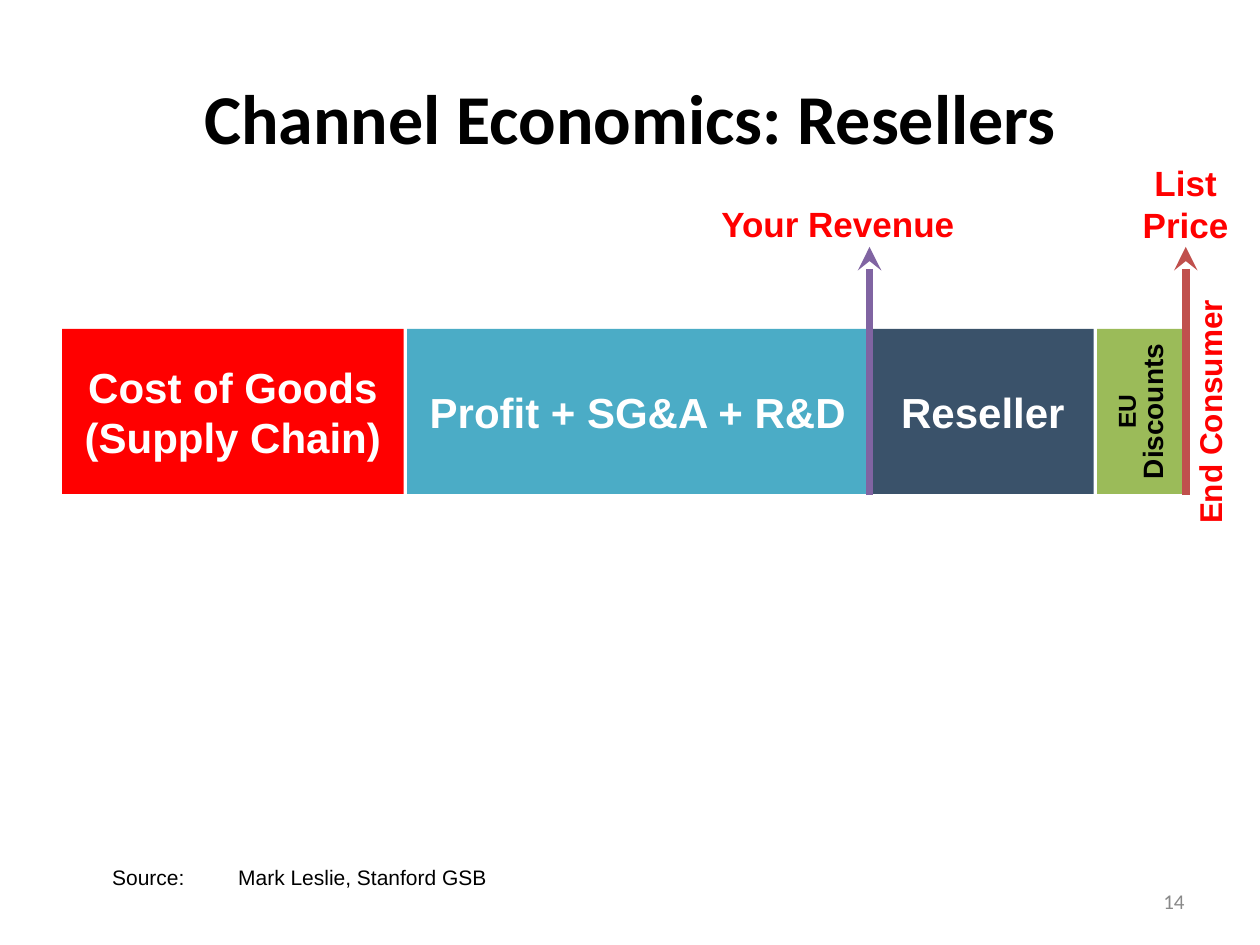
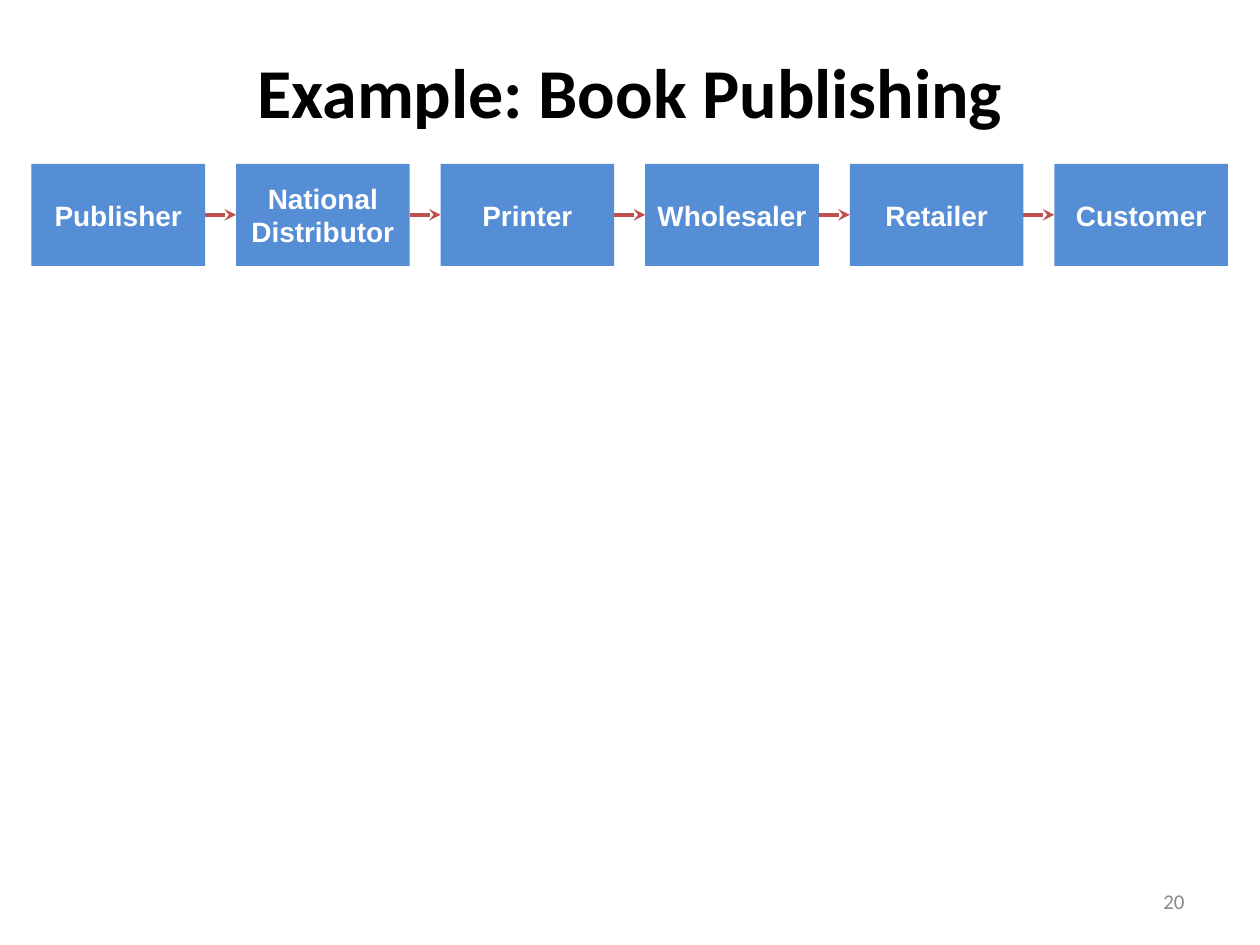
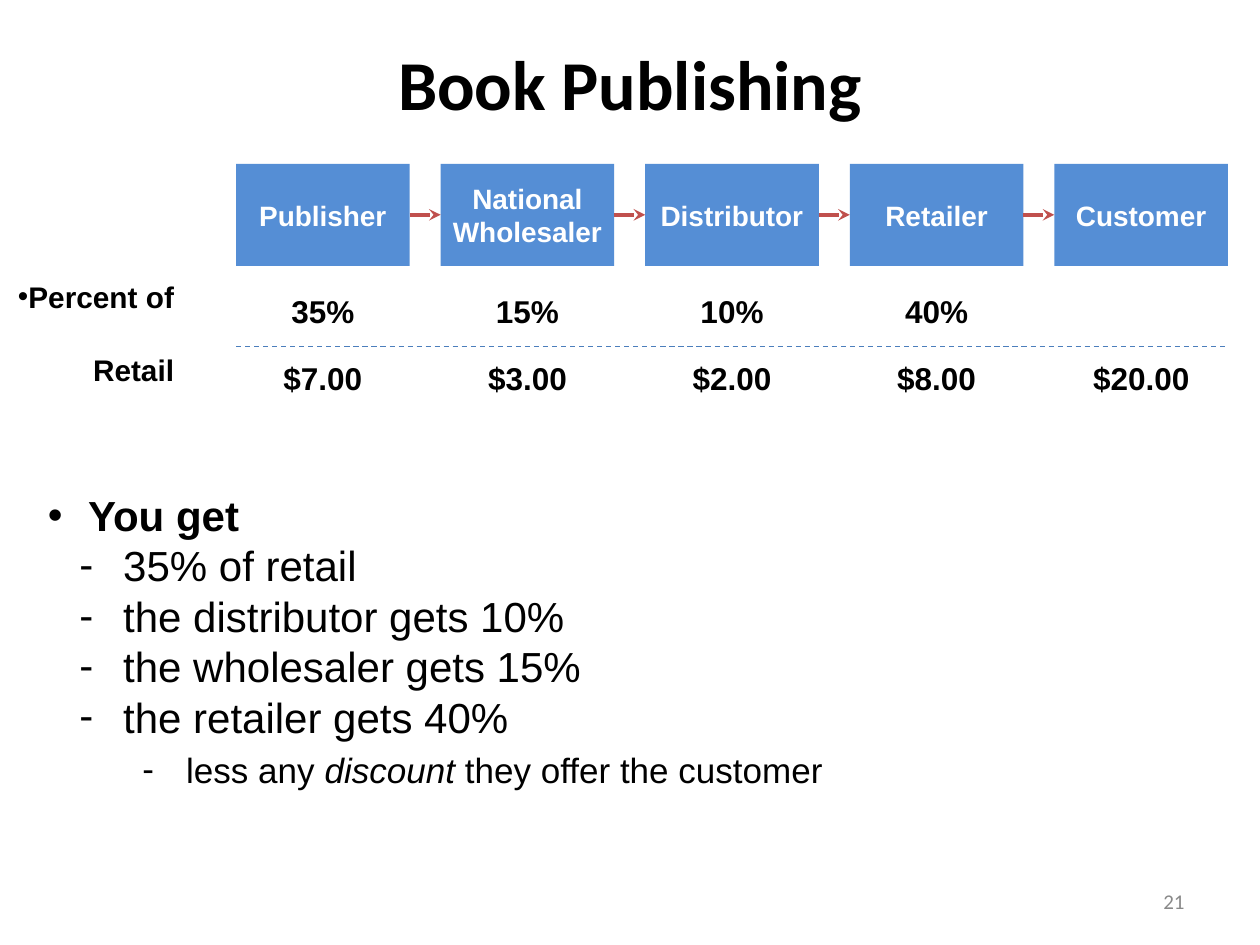
from dataclasses import dataclass

from lxml.etree import SubElement
from pptx import Presentation
from pptx.dml.color import RGBColor
from pptx.enum.dml import MSO_LINE as Dash
from pptx.enum.shapes import MSO_CONNECTOR as Connector, MSO_SHAPE as Shape
from pptx.enum.text import MSO_ANCHOR as Anchor, PP_ALIGN as Align
from pptx.oxml.ns import qn
from pptx.util import Pt


@dataclass(frozen=True)
class Theme:
    heading_font: str = "Calibri"
    body_font: str = "Arial"
    black: str = "000000"
    white: str = "FFFFFF"
    red: str = "FF0000"
    gray: str = "898989"
    teal: str = "4BACC6"
    navy: str = "3A526A"
    green: str = "9BBB59"
    purple: str = "8064A2"
    brick: str = "C0504D"
    blue: str = "558ED5"
    rule: str = "4B7EBC"
    title: float = 40
    large: float = 24
    label: float = 20
    value: float = 18
    row: float = 17
    stage: float = 16
    tiny: float = 14
    small: float = 12


THEME = Theme()
CHAIN_LEFT, CHAIN_TOP, CHAIN_PITCH = 18, 93.6, 116.9
STAGE_WIDTH, STAGE_HEIGHT = 99.2, 58.3
BAR_TOP, BAR_HEIGHT = 188, 94.3


def style(paragraph, size, color, bold=False, font=THEME.body_font):
    for run in paragraph.runs:
        run.font.name = font
        run.font.size = Pt(size)
        run.font.bold = bold
        run.font.color.rgb = RGBColor.from_string(color)


def set_frame(frame, anchor, insets):
    frame.word_wrap = True
    frame.vertical_anchor = anchor
    horizontal, vertical = insets
    frame.margin_left = frame.margin_right = Pt(horizontal)
    frame.margin_top = frame.margin_bottom = Pt(vertical)


def add_label(slide, text, place, size, color=THEME.black, bold=True, align=Align.CENTER,
              anchor=Anchor.TOP, insets=(0, 0), font=THEME.body_font):
    label = slide.shapes.add_textbox(*map(Pt, place))
    frame = label.text_frame
    set_frame(frame, anchor, insets)
    frame.text = text
    for paragraph in frame.paragraphs:
        paragraph.alignment = align
        style(paragraph, size, color, bold, font)
    return label


def add_block(slide, text, place, fill, size, color=THEME.white, insets=(7.2, 3.6)):
    block = slide.shapes.add_shape(Shape.RECTANGLE, *map(Pt, place))
    block.shadow.inherit = False
    block.fill.solid()
    block.fill.fore_color.rgb = RGBColor.from_string(fill)
    block.line.fill.background()
    set_frame(block.text_frame, Anchor.MIDDLE, insets)
    block.text_frame.text = text
    paragraph = block.text_frame.paragraphs[0]
    paragraph.alignment = Align.CENTER
    style(paragraph, size, color, bold=True)
    return block


def add_line(slide, start, end, color, width):
    line = slide.shapes.add_connector(Connector.STRAIGHT, *map(Pt, (*start, *end)))
    line.line.color.rgb = RGBColor.from_string(color)
    line.line.width = Pt(width)
    SubElement(line._element.spPr, qn("a:effectLst"))
    return line


def add_arrow(slide, start, end, color, width):
    arrow = add_line(slide, start, end, color, width)
    SubElement(arrow.line._get_or_add_ln(), qn("a:tailEnd"), type="stealth")


def add_bullet(paragraph, mark, text_left=0, mark_left=0):
    properties = paragraph._p.get_or_add_pPr()
    properties.set("marL", str(Pt(text_left)))
    properties.set("indent", str(Pt(mark_left - text_left)))
    SubElement(properties, qn("a:buFont"), typeface=THEME.body_font)
    SubElement(properties, qn("a:buChar"), char=mark)


def add_titled_slide(deck, title, title_height, number):
    slide = deck.slides.add_slide(deck.slide_layouts[6])
    add_label(slide, title, (36, 21.6, 648, title_height), THEME.title,
              anchor=Anchor.MIDDLE, insets=(7.2, 3.6), font=THEME.heading_font)
    add_label(slide, str(number), (516, 500.5, 168, 28.8), THEME.small, THEME.gray, False,
              Align.RIGHT, Anchor.MIDDLE, (7.2, 3.6), THEME.heading_font)
    return slide


def stage_left(column):
    return CHAIN_LEFT + column * CHAIN_PITCH


def add_chain(slide, stages, first_column=0):
    middle = CHAIN_TOP + STAGE_HEIGHT / 2
    for column, stage in enumerate(stages, first_column):
        left = stage_left(column)
        add_block(slide, stage, (left, CHAIN_TOP, STAGE_WIDTH, STAGE_HEIGHT),
                  THEME.blue, THEME.stage, insets=(5.5, 3.6))
        if column > first_column:
            previous_right = stage_left(column - 1) + STAGE_WIDTH
            add_arrow(slide, (previous_right, middle), (left, middle), THEME.brick, 2.25)


def add_values(slide, values, top, first_column):
    for column, value in enumerate(values, first_column):
        add_label(slide, value, (stage_left(column) + 14.3, top, 70.6, 21.6), THEME.value)


def add_discount_block(slide, left, width):
    discounts = add_block(slide, "EU ", (left, BAR_TOP, width, BAR_HEIGHT),
                          THEME.green, THEME.tiny, THEME.black)
    discounts.text_frame._txBody.bodyPr.set("vert", "vert270")
    paragraph = discounts.text_frame.paragraphs[0]
    paragraph.line_spacing = Pt(16)
    paragraph.add_run().text = "Discounts"
    style(paragraph, THEME.stage, THEME.black, bold=True)
    paragraph.runs[0].font.size = Pt(THEME.tiny)


def add_source(slide, text):
    source = add_label(slide, text, (18.7, 494, 683, 14.4), THEME.small,
                       bold=False, align=Align.LEFT)
    source.text_frame.margin_left = Pt(45.4)
    properties = source.text_frame.paragraphs[0]._p.get_or_add_pPr()
    stops = SubElement(properties, qn("a:tabLst"))
    SubElement(stops, qn("a:tab"), pos=str(Pt(72)), algn="l")


def add_shares(slide):
    frame = slide.shapes.add_textbox(*map(Pt, (16.6, 280, 687.6, 171.4))).text_frame
    set_frame(frame, Anchor.MIDDLE, (10.8, 7.2))
    lines = [
        ("You get", 0),
        ("35% of retail", 1),
        ("the distributor gets 10%", 1),
        ("the wholesaler gets 15%", 1),
        ("the retailer gets 40%", 1),
        ("less any ", 2),
    ]
    bullets = [("•", 23, 0), ("-", 43, 18), ("-", 79, 54)]
    frame.text = "\n".join(text for text, level in lines)
    for paragraph, (text, level) in zip(frame.paragraphs, lines):
        paragraph.level = level
        add_bullet(paragraph, *bullets[level])
        style(paragraph, THEME.large, THEME.black, bold=level == 0)
    discount_note = frame.paragraphs[-1]
    discount_note.space_before = Pt(4)
    for text in ("discount", " they offer the customer"):
        discount_note.add_run().text = text
    style(discount_note, THEME.label, THEME.black)
    discount_note.runs[1].font.italic = True


def build_resellers(deck):
    slide = add_titled_slide(deck, "Channel Economics: Resellers", 90, 14)
    segments = [
        ("Cost of Goods\v(Supply Chain)", 35.5, 195.2, THEME.red),
        ("Profit + SG&A + R&D", 232.7, 263.5, THEME.teal),
        ("Reseller", 498.3, 126.7, THEME.navy),
    ]
    for text, left, width, fill in segments:
        add_block(slide, text, (left, BAR_TOP, width, BAR_HEIGHT), fill, THEME.large)
    add_discount_block(slide, 627, 49.7)
    consumer = add_label(slide, "End Consumer", (609.8, 224.6, 162.7, 21.6),
                         THEME.value, THEME.red)
    consumer.rotation = 270
    add_label(slide, "Your Revenue", (406.8, 116, 144, 24.5), THEME.label, THEME.red)
    add_label(slide, "List\vPrice", (648, 92.2, 59, 48.2), THEME.label, THEME.red)
    for x, color in ((496.9, THEME.purple), (677.6, THEME.brick)):
        add_arrow(slide, (x, 283), (x, 141.1), color, 4.5)
    add_source(slide, "Source:\tMark Leslie, Stanford GSB")


def build_publishing_chain(deck):
    slide = add_titled_slide(deck, "Example: Book Publishing", 59.8, 20)
    add_chain(slide, ["Publisher", "National Distributor", "Printer",
                      "Wholesaler", "Retailer", "Customer"])


def build_publishing_shares(deck):
    slide = add_titled_slide(deck, "Book Publishing", 51.1, 21)
    row_label = add_label(slide, "Percent of\nRetail", (0, 155.5, 106.6, 41), THEME.row,
                          align=Align.RIGHT, insets=(7.2, 3.6))
    percent_of, retail = row_label.text_frame.paragraphs
    add_bullet(percent_of, "•")
    retail.space_before = Pt(21.6)
    add_shares(slide)
    add_chain(slide, ["Publisher", "National Wholesaler", "Distributor",
                      "Retailer", "Customer"], first_column=1)
    add_values(slide, ["35%", "15%", "10%", "40%"], 167, first_column=1)
    add_values(slide, ["$7.00", "$3.00", "$2.00", "$8.00", "$20.00"], 205.2, first_column=1)
    divider = add_line(slide, (stage_left(1), 198), (700, 198), THEME.rule, 0.75)
    divider.line.dash_style = Dash.DASH


def main():
    deck = Presentation()
    deck.slide_width, deck.slide_height = Pt(720), Pt(540)
    build_resellers(deck)
    build_publishing_chain(deck)
    build_publishing_shares(deck)
    deck.save("out.pptx")


if __name__ == "__main__":
    main()
